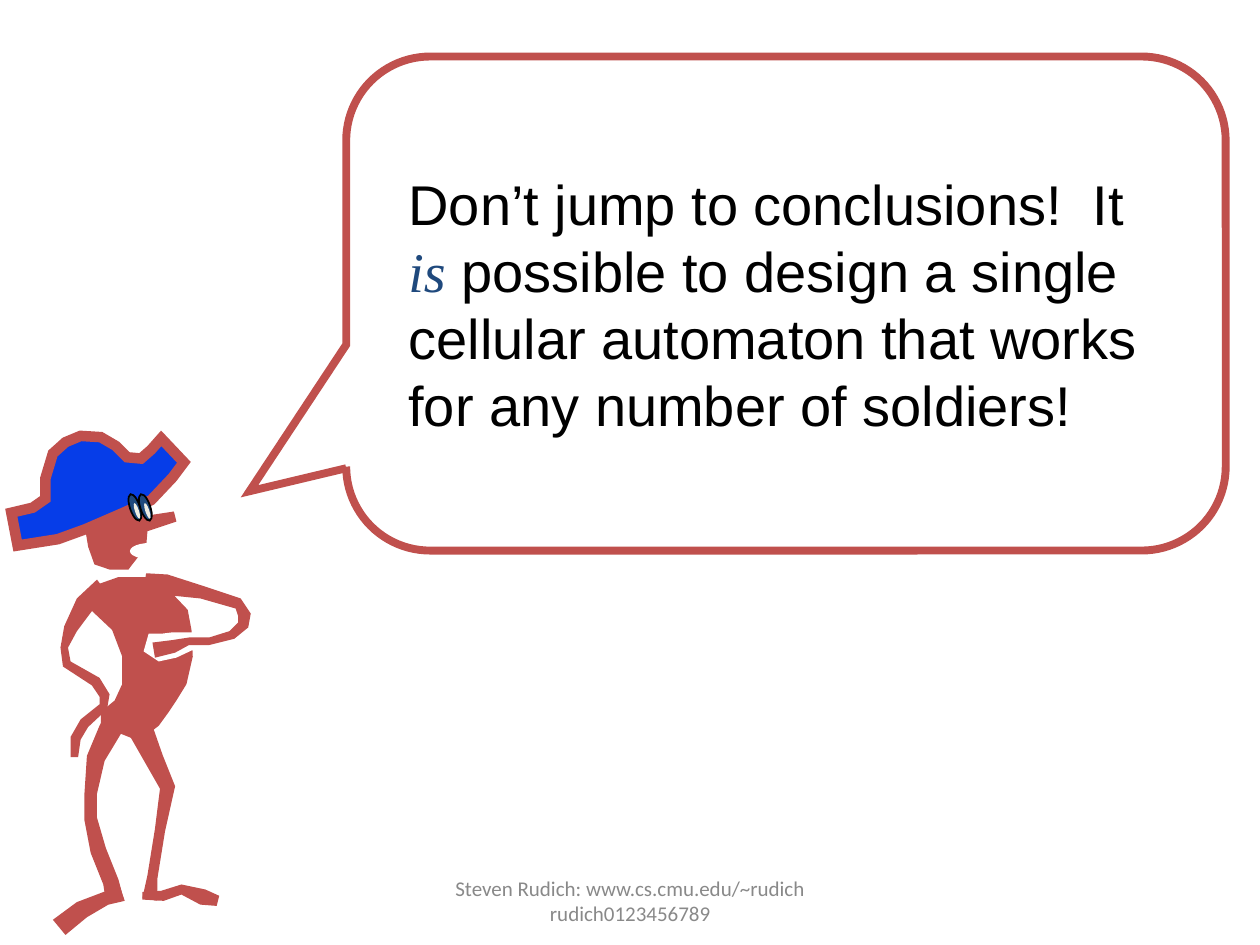
from math import hypot

from lxml.etree import SubElement
from pptx import Presentation
from pptx.dml.color import RGBColor
from pptx.enum.shapes import MSO_SHAPE
from pptx.enum.text import MSO_ANCHOR, PP_ALIGN
from pptx.oxml.ns import qn
from pptx.util import Cm, Pt

COLORS = {
    "body": "C0504D",
    "hat": "063DE8",
    "lens": "1F497D",
    "glint": "EEECE1",
    "white": "FFFFFF",
    "black": "000000",
    "footer": "898989",
}
FIGURE_UNIT = Cm(2.54) / 100


def color(name):
    return RGBColor.from_string(COLORS[name])


def style_shape(shape, fill=None, line=None, width=1):
    shape.shadow.inherit = False
    if fill:
        shape.fill.solid()
        shape.fill.fore_color.rgb = color(fill)
    else:
        shape.fill.background()
    if line:
        shape.line.color.rgb = color(line)
        shape.line.width = Pt(width)
        SubElement(shape.line._get_or_add_ln(), qn("a:miter"), lim="800000")
    else:
        shape.line.fill.background()


def add_run(paragraph, text, size=32, font="Arial", fill="black", italic=False):
    run = paragraph.add_run()
    run.text = text
    run.font.size = Pt(size)
    run.font.name = font
    run.font.italic = italic
    run.font.color.rgb = color(fill)


def add_outline(group, points, fill="body", line=None, width=1):
    builder = group.shapes.build_freeform(*points[0], scale=FIGURE_UNIT)
    builder.add_line_segments(points[1:], close=True)
    style_shape(builder.convert_to_shape(), fill, line, width)


def add_trunk(group, rows):
    left_side = [(left, y) for y, left, right in rows]
    right_side = [(right, y) for y, left, right in rows]
    add_outline(group, left_side + right_side[::-1])


def add_limb(group, joints, fill="body"):
    one_side, other_side = [], []
    last = len(joints) - 1
    for index, (x, y, thickness) in enumerate(joints):
        before = joints[max(index - 1, 0)]
        after = joints[min(index + 1, last)]
        along_x, along_y = after[0] - before[0], after[1] - before[1]
        reach = thickness / 2 / hypot(along_x, along_y)
        one_side.append((x - along_y * reach, y + along_x * reach))
        other_side.append((x + along_y * reach, y - along_x * reach))
    add_outline(group, one_side + other_side[::-1], fill)


def add_ellipse(group, center_x, center_y, width, height, fill, line=None, rotation=0):
    ellipse = group.shapes.add_shape(
        MSO_SHAPE.OVAL, Cm(center_x - width / 2), Cm(center_y - height / 2),
        Cm(width), Cm(height))
    ellipse.rotation = rotation
    style_shape(ellipse, fill, line)


def add_head(group):
    skull = [(377, 82, 97), (385, 73, 112), (410, 66, 118),
             (434, 70, 116), (448, 75, 105), (452, 87, 102)]
    nose = [(114, 416, 13), (139, 410, 9)]
    add_trunk(group, skull)
    add_limb(group, nose)


def add_torso(group):
    torso = [(458, 94, 116), (464, 77, 130), (484, 72, 149), (500, 89, 152),
             (521, 97, 153), (543, 97, 148), (556, 91, 140), (565, 80, 134),
             (576, 80, 126), (586, 105, 113)]
    gap_around_hand = [(156, 508, 12), (138, 512, 20), (127, 514, 23), (116, 510, 14)]
    add_trunk(group, torso)
    add_limb(group, gap_around_hand, "white")


def add_arms(group):
    arm_on_hip = [(83, 468, 19), (67, 480, 16), (56, 499, 10), (51, 514, 6),
                  (53, 527, 7), (76, 541, 9), (83, 552, 9), (82, 561, 8),
                  (67, 574, 9), (60, 586, 8), (59, 601, 6)]
    arm_on_chest = [(115, 461, 13), (131, 464, 16), (160, 470, 10), (189, 479, 8),
                    (194, 488, 10), (193, 496, 9), (184, 504, 7), (166, 509, 6),
                    (150, 509, 6), (138, 513, 11), (122, 516, 13)]
    for arm in (arm_on_hip, arm_on_chest):
        add_limb(group, arm)


def add_legs(group):
    left_leg = [(97, 563, 18), (87, 580, 18), (76, 602, 14), (72, 630, 11),
                (72, 650, 11), (78, 675, 13), (88, 700, 13), (91, 714, 14)]
    left_foot = [(97, 709, 12), (84, 713, 10), (65, 722, 14), (47, 736, 16)]
    right_leg = [(105, 563, 8), (112, 580, 20), (122, 602, 16), (133, 625, 12),
                 (127, 659, 9), (121, 696, 8), (119, 714, 12)]
    right_foot = [(113, 711, 7), (129, 711, 9), (144, 706, 9), (161, 712, 13),
                  (173, 715, 9)]
    for limb in (left_leg, left_foot, right_leg, right_foot):
        add_limb(group, limb)


def add_hat(group):
    crown = [(9, 407), (26, 403), (36, 396), (36, 380), (42, 360), (52, 351),
             (64, 346), (80, 347), (92, 354), (101, 363), (112, 364), (120, 357)]
    brim = [(128, 348), (146, 367), (137, 379), (120, 397), (98, 407), (68, 420),
            (46, 428), (14, 433)]
    add_outline(group, crown + brim, "hat", line="body", width=6)


def add_face(group):
    for center_x in (2.72, 2.93):
        add_ellipse(group, center_x, 10.23, 0.56, 0.2, "lens", line="black", rotation=71.5)
        add_ellipse(group, center_x + 0.04, 10.3, 0.33, 0.08, "glint", rotation=71.5)
    add_ellipse(group, 3.04, 11.11, 0.84, 0.33, "white")


def add_figure(slide):
    group = slide.shapes.add_group_shape()
    for add_part in (add_head, add_torso, add_arms, add_legs, add_hat, add_face):
        add_part(group)


def prepare_text(shape, alignment, side_margin):
    frame = shape.text_frame
    frame.word_wrap = True
    frame.vertical_anchor = MSO_ANCHOR.MIDDLE
    frame.margin_left = frame.margin_right = Cm(side_margin)
    paragraph = frame.paragraphs[0]
    paragraph.alignment = alignment
    return paragraph


def add_speech(slide):
    callout = slide.shapes.add_shape(
        MSO_SHAPE.ROUNDED_RECTANGULAR_CALLOUT, Cm(6.98), Cm(1.14), Cm(17.73), Cm(9.96))
    tail_x, tail_y, corner_radius = -0.61, 0.38, 0.17
    for index, value in enumerate((tail_x, tail_y, corner_radius)):
        callout.adjustments[index] = value
    style_shape(callout, line="body", width=4.5)
    paragraph = prepare_text(callout, PP_ALIGN.LEFT, 0.76)
    add_run(paragraph, "Don’t jump to conclusions!  It ")
    add_run(paragraph, "is", font="Times New Roman", fill="lens", italic=True)
    add_run(paragraph, " possible to design a single cellular automaton "
                       "that works for any number of soldiers!")


def add_footer(slide):
    footer = slide.shapes.add_textbox(Cm(8.68), Cm(17.65), Cm(8.05), Cm(1.02))
    paragraph = prepare_text(footer, PP_ALIGN.CENTER, 0.25)
    add_run(paragraph, "Steven Rudich: www.cs.cmu.edu/~rudich rudich0123456789",
            size=12, font="Calibri", fill="footer")


def main():
    presentation = Presentation()
    presentation.slide_width = Cm(25.4)
    presentation.slide_height = Cm(19.05)
    slide = presentation.slides.add_slide(presentation.slide_layouts[6])
    add_footer(slide)
    add_speech(slide)
    add_figure(slide)
    presentation.save("out.pptx")


if __name__ == "__main__":
    main()
